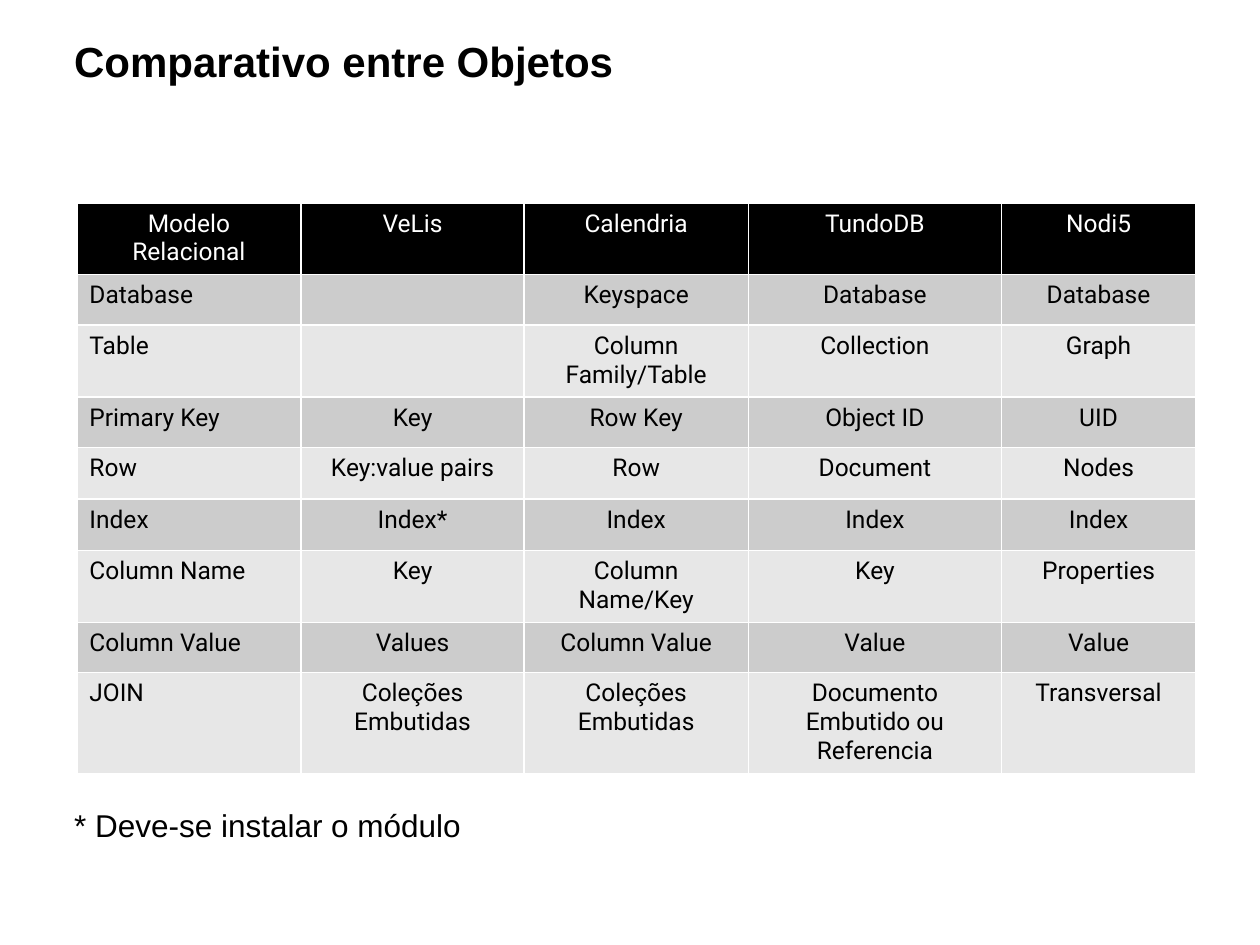
from lxml.etree import SubElement
from pptx import Presentation
from pptx.dml.color import RGBColor
from pptx.enum.text import MSO_ANCHOR, PP_ALIGN
from pptx.oxml.ns import qn
from pptx.util import Inches, Pt

BLACK = RGBColor(0x00, 0x00, 0x00)
WHITE = RGBColor(0xFF, 0xFF, 0xFF)
DARK_BAND = RGBColor(0xCC, 0xCC, 0xCC)
LIGHT_BAND = RGBColor(0xE7, 0xE7, 0xE7)

TITLE = "Comparativo entre Objetos"
FOOTNOTE = "* Deve-se instalar o módulo"
OBJECTS = [
    ("Modelo Relacional", "VeLis", "Calendria", "TundoDB", "Nodi5"),
    ("Database", "", "Keyspace", "Database", "Database"),
    ("Table", "", "Column Family/Table", "Collection", "Graph"),
    ("Primary Key", "Key", "Row Key", "Object ID", "UID"),
    ("Row", "Key:value pairs", "Row", "Document", "Nodes"),
    ("Index", "Index*", "Index", "Index", "Index"),
    ("Column Name", "Key", "Column Name/Key", "Key", "Properties"),
    ("Column Value", "Values", "Column Value", "Value", "Value"),
    ("JOIN", "Coleções Embutidas", "Coleções Embutidas",
     "Documento Embutido ou Referencia", "Transversal"),
]
COLUMN_WIDTHS = [1.78, 1.77, 1.78, 2.01, 1.54]
ROW_HEIGHTS = [0.57, 0.4, 0.57, 0.4, 0.41, 0.41, 0.57, 0.4, 0.8]


def style_font(font, name, size, color, bold=False):
    font.name, font.size, font.bold = name, Pt(size), bold
    font.color.rgb = color


def add_line_of_text(slide, text, left, top, width, size, bold=False):
    box = slide.shapes.add_textbox(Inches(left), Inches(top), Inches(width), Inches(0.5))
    frame = box.text_frame
    frame.word_wrap = True
    frame.vertical_anchor = MSO_ANCHOR.MIDDLE if bold else MSO_ANCHOR.TOP
    frame.margin_left = frame.margin_right = Inches(0.1)
    frame.margin_top = frame.margin_bottom = Inches(0.1)
    frame.text = text
    paragraph = frame.paragraphs[0]
    paragraph.line_spacing = 0.9
    style_font(paragraph.runs[0].font, "Arial", size, BLACK, bold)


def add_borders(cell):
    """Draw 1 pt white lines on all four sides; call before setting the fill."""
    properties = cell._tc.get_or_add_tcPr()
    for side in ("a:lnL", "a:lnR", "a:lnT", "a:lnB"):
        line = SubElement(properties, qn(side), w=str(Pt(1)))
        fill = SubElement(line, qn("a:solidFill"))
        SubElement(fill, qn("a:srgbClr"), val=str(WHITE))


def add_comparison(slide):
    table = slide.shapes.add_table(
        len(OBJECTS), len(COLUMN_WIDTHS), Inches(0.61), Inches(1.61),
        Inches(sum(COLUMN_WIDTHS)), Inches(sum(ROW_HEIGHTS))).table
    for column, width in zip(table.columns, COLUMN_WIDTHS):
        column.width = Inches(width)
    for row, height in zip(table.rows, ROW_HEIGHTS):
        row.height = Inches(height)

    for r, names in enumerate(OBJECTS):
        header = r == 0
        band = BLACK if header else DARK_BAND if r % 2 else LIGHT_BAND
        for c, name in enumerate(names):
            cell = table.cell(r, c)
            add_borders(cell)
            cell.fill.solid()
            cell.fill.fore_color.rgb = band
            cell.text_frame.text = name
            paragraph = cell.text_frame.paragraphs[0]
            paragraph.alignment = PP_ALIGN.CENTER if header or c else PP_ALIGN.LEFT
            for run in paragraph.runs:
                style_font(run.font, "Roboto", 14, WHITE if header else BLACK)


def main():
    presentation = Presentation()
    presentation.slide_width, presentation.slide_height = Inches(10), Inches(7.5)
    slide = presentation.slides.add_slide(presentation.slide_layouts[6])
    add_line_of_text(slide, FOOTNOTE, 0.49, 6.33, 9.13, 18)
    add_line_of_text(slide, TITLE, 0.49, 0.26, 7.66, 24, bold=True)
    add_comparison(slide)
    presentation.save("out.pptx")


if __name__ == "__main__":
    main()
